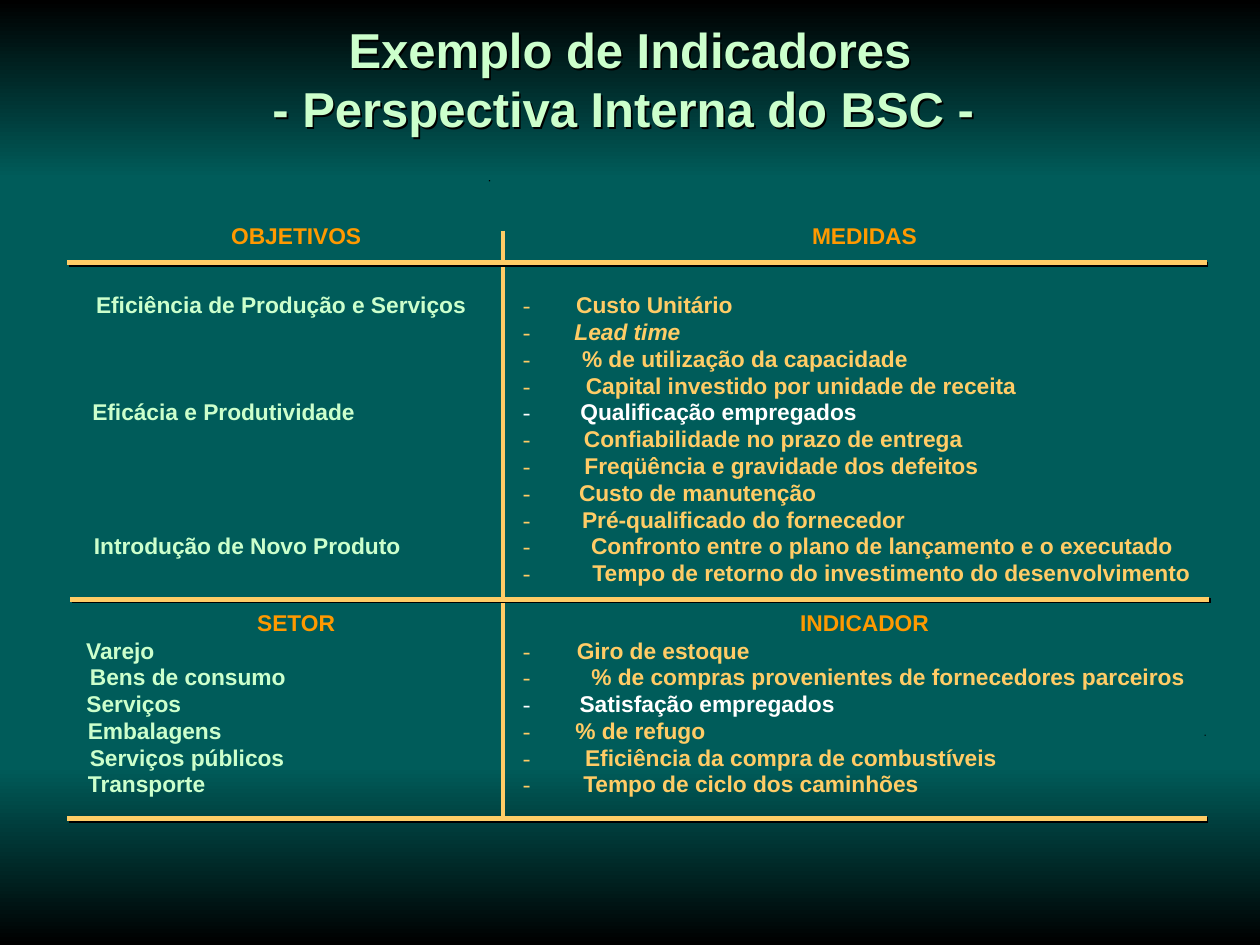
from lxml.etree import SubElement
from pptx import Presentation
from pptx.dml.color import RGBColor
from pptx.enum.shapes import MSO_CONNECTOR as Connector, MSO_SHAPE as Shape
from pptx.enum.text import MSO_ANCHOR as Anchor, MSO_AUTO_SIZE as AutoSize, PP_ALIGN as Align
from pptx.oxml.ns import qn
from pptx.util import Inches, Pt

WIDTH, HEIGHT = 10, 7.5
TEAL, BLACK, WHITE = "005C5A", "000000", "FFFFFF"
MINT, SAND, ORANGE = "CCFFCC", "FFCC66", "FF9900"

TITLE = ["Exemplo de Indicadores", "- Perspectiva Interna do BSC - "]

# Headings: text, width
# Rows: row number, text, width
SECTIONS = [
    {
        "heading_top": 1.76,
        "rows_top": 2.31,
        "headings": [("OBJETIVOS", 1.03), ("MEDIDAS", 0.83)],
        "left": [
            (0, "Eficiência de Produção e Serviços", 2.93),
            (4, "Eficácia e Produtividade", 2.08),
            (9, "Introdução de Novo Produto", 2.43),
        ],
        "right": [
            (0, "Custo Unitário", 1.24),
            (1, "Lead time", 0.84),
            (2, "% de utilização da capacidade", 2.58),
            (3, "Capital investido por unidade de receita", 3.41),
            (4, "Qualificação empregados", 2.19),
            (5, "Confiabilidade no prazo de entrega", 3.0),
            (6, "Freqüência e gravidade dos defeitos", 3.12),
            (7, "Custo de manutenção", 1.88),
            (8, "Pré-qualificado do fornecedor", 2.56),
            (9, "Confronto entre o plano de lançamento e o executado", 4.61),
            (10, "Tempo de retorno do investimento do desenvolvimento", 4.75),
        ],
    },
    {
        "heading_top": 4.83,
        "rows_top": 5.05,
        "headings": [("SETOR", 0.62), ("INDICADOR", 1.02)],
        "left": [
            (0, "Varejo", 0.55),
            (1, "Bens de consumo", 1.55),
            (2, "Serviços", 0.75),
            (3, "Embalagens", 1.06),
            (4, "Serviços públicos", 1.54),
            (5, "Transporte", 0.94),
        ],
        "right": [
            (0, "Giro de estoque", 1.37),
            (1, "% de compras provenientes de fornecedores parceiros", 4.7),
            (2, "Satisfação empregados", 2.02),
            (3, "% de refugo", 1.03),
            (4, "Eficiência da compra de combustíveis", 3.26),
            (5, "Tempo de ciclo dos caminhões", 2.67),
        ],
    },
]
HIGHLIGHTED = {"Qualificação empregados", "Satisfação empregados"}
ITALIC = {"Lead time"}

ROW_STEP = 8.5 / 40
TEXT_HEIGHT = 0.22
SLACK = 0.03  # room on each side of a label, so that it stays on one line
HEADING_CENTERS = (2.35, 6.86)
LEFT_COLUMN, DASH_COLUMN, RIGHT_COLUMN = 0.66, 4.15, 4.53
INDENT_SHARE = 0.035  # longer texts start a little further right
DIVIDER = (3.99, 1.83, 6.5)
RULES = [(0.55, 2.08), (0.55, 6.49), (0.57, 4.75)]
RULE_PARTS = [(0, 3.48), (3.48, 0.01), (3.49, 5.52)]  # offset, width
DOTS = [(3.88, 1.43), (9.56, 5.83)]
BAND_HEIGHT = 1.42


def color(value):
    return RGBColor.from_string(value)


def add_shadow(shape):
    """Add a hard black shadow, 1.4 pt to the lower right."""
    effects = SubElement(shape._element.spPr, qn("a:effectLst"))
    shadow = SubElement(effects, qn("a:outerShdw"), blurRad="0",
                        dist=str(Pt(1.4)), dir=str(45 * 60000), algn="ctr")
    SubElement(shadow, qn("a:srgbClr"), val=BLACK)


def add_rectangle(slide, left, top, width, height):
    shape = slide.shapes.add_shape(
        Shape.RECTANGLE, *map(Inches, (left, top, width, height)))
    shape.line.fill.background()
    shape.fill.solid()
    shape.fill.fore_color.rgb = color(BLACK)
    return shape


def add_band(slide, top, top_color, bottom_color):
    band = add_rectangle(slide, 0, top, WIDTH, BAND_HEIGHT)
    band.shadow.inherit = False
    band.fill.gradient()
    band.fill.gradient_angle = 270
    for stop, position, value in zip(band.fill.gradient_stops, (0, 1),
                                     (top_color, bottom_color)):
        stop.position = position
        stop.color.rgb = color(value)


def add_run(paragraph, text, size, value, font="Arial", bold=True, italic=False):
    run = paragraph.add_run()
    run.text = text
    run.font.name = font
    run.font.size = Pt(size)
    run.font.color.rgb = color(value)
    run.font.bold = bold
    run.font.italic = italic


def add_label(slide, text, left, top, width, value, font="Arial", bold=True):
    box = slide.shapes.add_textbox(
        *map(Inches, (left - SLACK, top, width + 2 * SLACK, TEXT_HEIGHT)))
    frame = box.text_frame
    frame.margin_left = frame.margin_right = 0
    frame.margin_top = frame.margin_bottom = 0
    frame.word_wrap = False
    frame.auto_size = AutoSize.SHAPE_TO_FIT_TEXT
    paragraph = frame.paragraphs[0]
    paragraph.alignment = Align.CENTER
    add_run(paragraph, text, 13, value, font, bold, text in ITALIC)


def add_title(slide):
    box = slide.shapes.add_textbox(0, 0, Inches(WIDTH), Inches(1.25))
    add_shadow(box)
    frame = box.text_frame
    frame.word_wrap = True
    frame.vertical_anchor = Anchor.MIDDLE
    paragraph = frame.paragraphs[0]
    paragraph.alignment = Align.CENTER
    for number, text in enumerate(TITLE):
        if number:
            paragraph.add_line_break()
        add_run(paragraph, text, 28, MINT)


def add_section(slide, section):
    for (text, width), center in zip(section["headings"], HEADING_CENTERS):
        add_label(slide, text, center - width / 2, section["heading_top"], width, ORANGE)
    for side, column in (("left", LEFT_COLUMN), ("right", RIGHT_COLUMN)):
        for row, text, width in section[side]:
            top = section["rows_top"] + row * ROW_STEP
            value = MINT if side == "left" else WHITE if text in HIGHLIGHTED else SAND
            if side == "right":
                add_label(slide, "-", DASH_COLUMN, top, 0.06, value,
                          "Times New Roman", False)
            add_label(slide, text, column + INDENT_SHARE * width, top, width, value)


def add_rule(slide, left, top):
    for offset, width in RULE_PARTS:
        part = add_rectangle(slide, left + offset, top, width, 0.01)
        part.line.color.rgb = color(SAND)
        part.line.width = Pt(2.25)
        SubElement(part._element.spPr.find(qn("a:ln")), qn("a:miter"), lim="800000")
        add_shadow(part)


def add_divider(slide):
    left, top, bottom = DIVIDER
    line = slide.shapes.add_connector(
        Connector.STRAIGHT, *map(Inches, (left, top, left, bottom)))
    line.line.color.rgb = color(SAND)
    line.line.width = Pt(2.25)
    SubElement(line._element.spPr, qn("a:effectLst"))


presentation = Presentation()
presentation.slide_width, presentation.slide_height = Inches(WIDTH), Inches(HEIGHT)
slide = presentation.slides.add_slide(presentation.slide_layouts[6])
slide.background.fill.solid()
slide.background.fill.fore_color.rgb = color(TEAL)
add_band(slide, HEIGHT - BAND_HEIGHT, TEAL, BLACK)
add_band(slide, 0, BLACK, TEAL)
add_title(slide)
add_divider(slide)
for section in SECTIONS:
    add_section(slide, section)
for left, top in RULES:
    add_rule(slide, left, top)
for left, top in DOTS:
    add_rectangle(slide, left, top, 0.01, 0.01).shadow.inherit = False
presentation.save("out.pptx")
